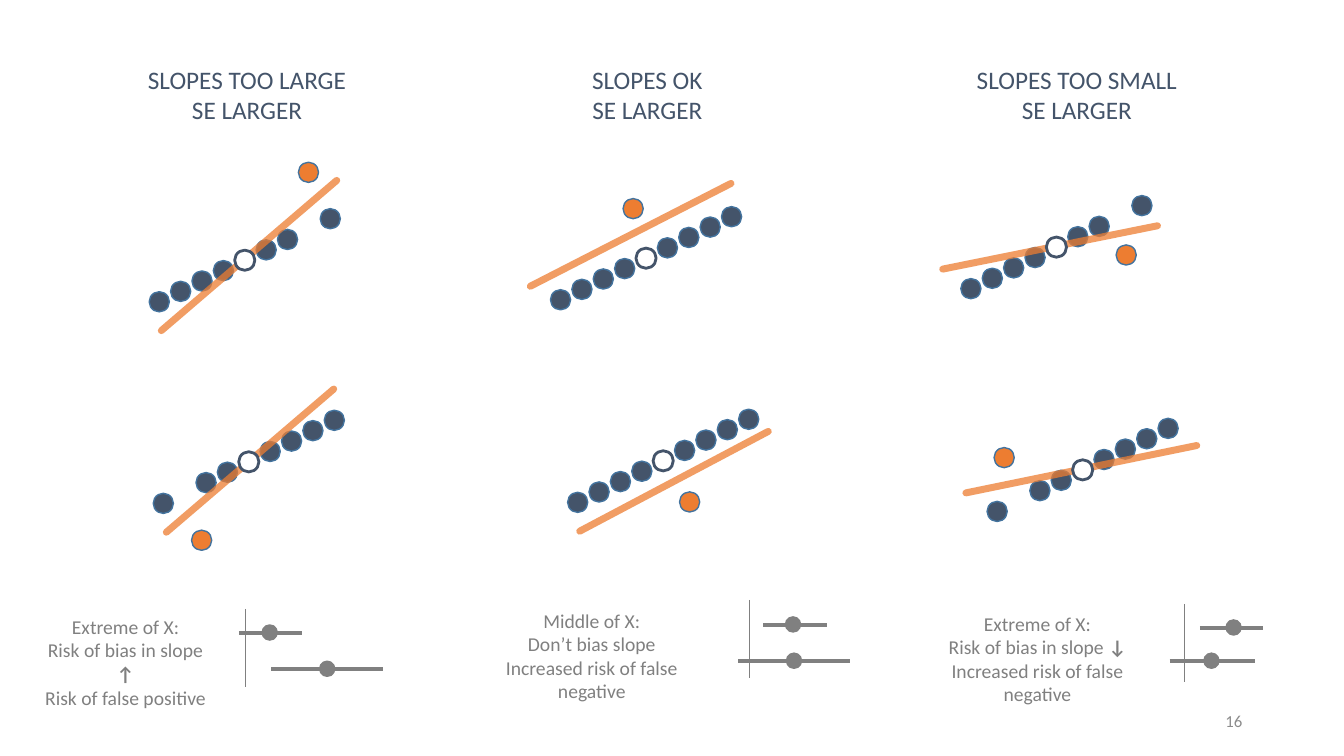
from lxml import etree
from pptx import Presentation, util as u
from pptx.dml.color import RGBColor
from pptx.enum import shapes, text
from pptx.oxml import ns

PX = 9144
NAVY = RGBColor(0x44, 0x54, 0x6A)
BLUE = RGBColor(0x43, 0x73, 0x9E)
ORANGE = RGBColor(0xED, 0x7D, 0x31)
WHITE = RGBColor(0xFF, 0xFF, 0xFF)
GRAY = RGBColor(0x80, 0x80, 0x80)
NUMBER_GRAY = RGBColor(0x8C, 0x8C, 0x8C)
DOT, STEP_X, STEP_Y = 20, 21.2, 10.3
MEAN = 4

COLUMNS = [
    {
        "heading": (36, ["SLOPES TOO LARGE", "SE LARGER"]),
        "panels": [
            (148, 207, {7}, (148, -46), (12, 121, 186, -28)),
            (152, 407, {1}, (38, 119), (13, 121, 179, -21)),
        ],
        "label": (27, 605, 195, ["Extreme of X:", ("Risk of bias in slope ", "↑"),
                                 "Risk of false positive"]),
        "intervals": (243, 604, [(-6, 57, 17, 24), (26, 137, 74, 60)]),
    },
    {
        "heading": (433, ["SLOPES OK", "SE LARGER"]),
        "panels": [
            (546, 205, set(), (72, -8), (-20, 79, 179, -23)),
            (563, 406, set(), (111, 82), (12, 121, 199, 22)),
        ],
        "label": (457, 599, 260, ["Middle of X:", "Don’t bias slope",
                                  "Increased risk of false negative"]),
        "intervals": (743, 595, [(14, 77, 36, 25), (-11, 100, 37, 61)]),
    },
    {
        "heading": (859, ["SLOPES TOO SMALL", "SE LARGER"]),
        "panels": [
            (953, 194, {7}, (154, 49), (-18, 73, 195, 30)),
            (979, 415, {1}, (7, 29), (-21, 74, 208, 27)),
        ],
        "label": (899, 602, 260, ["Extreme of X:", ("Risk of bias in slope ", "↓"),
                                  "Increased risk of false negative"]),
        "intervals": (1175, 599, [(15, 78, 41, 24), (-15, 70, 19, 57)]),
    },
]


def px(*lengths):
    """Turn px lengths into EMU."""
    return [u.Emu(round(length * PX)) for length in lengths]


def add_dot(parent, x, y, size, fill, line, width=1):
    """Place a filled circle by its top left corner."""
    sp = parent.shapes.add_shape(shapes.MSO_SHAPE.OVAL, *px(x, y, size, size))
    sp.shadow.inherit = False
    sp.fill.solid()
    sp.fill.fore_color.rgb = fill
    sp.line.color.rgb = line
    sp.line.width = u.Pt(width)


def add_line(parent, ends, color, width, alpha=None):
    """Draw a straight line; a given alpha makes it see-through with round caps."""
    line = parent.shapes.add_connector(shapes.MSO_CONNECTOR.STRAIGHT, *px(*ends))
    line.line.color.rgb = color
    line.line.width = u.Pt(width)
    props = line._element.spPr
    etree.SubElement(props, ns.qn("a:effectLst"))
    if alpha:
        props.find(ns.qn("a:ln")).set("cap", "rnd")
        shade = props.find(".//" + ns.qn("a:srgbClr"))
        etree.SubElement(shade, ns.qn("a:alpha")).set("val", str(alpha * 1000))


def add_text(s, box, lines, size, color, align=text.PP_ALIGN.CENTER):
    """Write one paragraph per line; the second run of a pair is bold."""
    tf = s.shapes.add_textbox(*px(*box)).text_frame
    tf.word_wrap = True
    for i, line in enumerate(lines):
        p = tf.add_paragraph() if i else tf.paragraphs[0]
        p.alignment = align
        for j, words in enumerate([line] if isinstance(line, str) else line):
            r = p.add_run()
            r.text = words
            r.font.name = "Calibri"
            r.font.size = u.Pt(size)
            r.font.bold = j == 1
            r.font.color.rgb = color
    return tf


def add_panel(s, left, top, missing, outlier, fit):
    """Draw a rising row of dots with its outlier, fitted line and mean."""
    group = s.shapes.add_group_shape()

    def spot(k):
        return left + k * STEP_X, top + (8 - k) * STEP_Y

    for k in set(range(9)) - missing - {MEAN}:
        add_dot(group, *spot(k), DOT, NAVY, BLUE)
    add_dot(group, left + outlier[0], top + outlier[1], DOT, ORANGE, BLUE)
    x1, y1, x2, y2 = fit
    add_line(group, (left + x1, top + y1, left + x2, top + y2), ORANGE, 5, 75)
    add_dot(group, *spot(MEAN), DOT, WHITE, NAVY, 2)


def add_intervals(s, left, top, bars):
    """Draw a vertical axis and the interval bars with their estimates."""
    group = s.shapes.add_group_shape()
    add_line(group, (left, top, left, top + 78), GRAY, 0.5)
    for start, end, dot, y in bars:
        add_line(group, (left + start, top + y, left + end, top + y), GRAY, 3)
        add_dot(group, left + dot, top + y - 8, 15, GRAY, GRAY)


def add_column(s, heading, panels, label, intervals):
    """Fill one column from heading to intervals."""
    left, lines = heading
    add_text(s, (left, 59, 418, 71), lines, 18, NAVY)
    for panel in panels:
        add_panel(s, *panel)
    left, top, width, lines = label
    add_text(s, (left, top, width, 81), lines, 14, GRAY)
    add_intervals(s, *intervals)


def main():
    """Build the slide and save it."""
    prs = Presentation()
    prs.slide_width, prs.slide_height = px(1333, 750)
    s = prs.slides.add_slide(prs.slide_layouts[6])
    for column in COLUMNS:
        add_column(s, **column)
    tf = add_text(s, (942, 695, 300, 40), ["16"], 12, NUMBER_GRAY, text.PP_ALIGN.RIGHT)
    tf.vertical_anchor = text.MSO_ANCHOR.MIDDLE
    prs.save("out.pptx")


if __name__ == "__main__":
    main()
